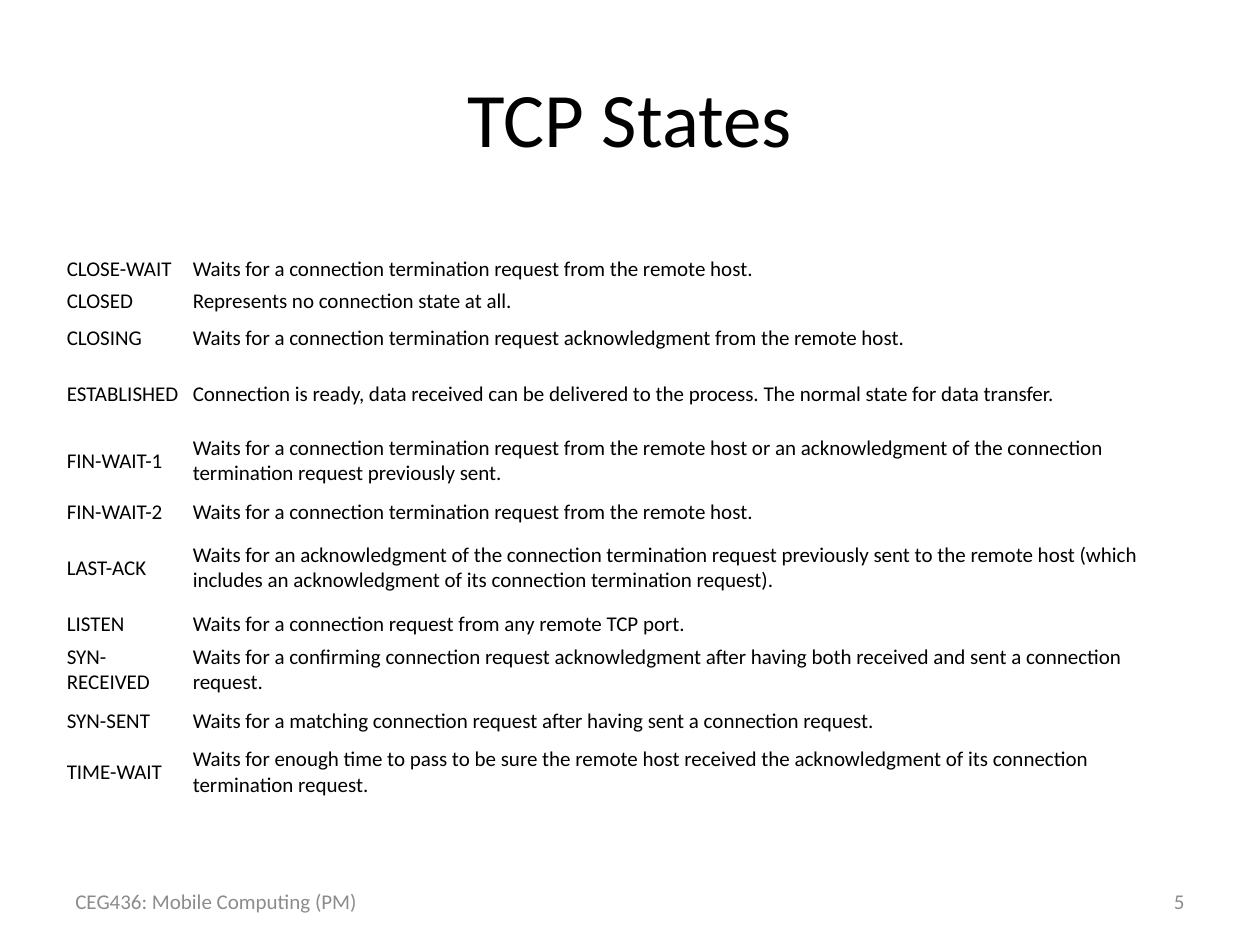
from dataclasses import dataclass

from pptx import Presentation
from pptx import util as u
from pptx.dml.color import RGBColor
from pptx.enum import text
from pptx.slide import Slide

COLORS = {"ink": "000000", "footer": "8C8C8C", "paper": "FFFFFF"}
WIDTH, HEIGHT = 10, 7.5
MARGIN = 0.05  # share of the slide's width

# state, meaning, row height in inches
STATES = [
    ("CLOSE-WAIT", "Waits for a connection termination request from the remote host.", 0.28),
    ("CLOSED", "Represents no connection state at all.", 0.2),
    ("CLOSING", "Waits for a connection termination request acknowledgment "
     "from the remote host.", 0.36),
    ("ESTABLISHED", "Connection is ready, data received can be delivered to the process. "
     "The normal state for data transfer.", 0.53),
    ("FIN-WAIT-1", "Waits for a connection termination request from the remote host or an "
     "acknowledgment of the connection termination request previously sent.", 0.53),
    ("FIN-WAIT-2", "Waits for a connection termination request from the remote host.", 0.28),
    ("LAST-ACK", "Waits for an acknowledgment of the connection termination request "
     "previously sent to the remote host (which includes an acknowledgment of its "
     "connection termination request).", 0.61),
    ("LISTEN", "Waits for a connection request from any remote TCP port.", 0.28),
    ("SYN-RECEIVED", "Waits for a confirming connection request acknowledgment after having "
     "both received and sent a connection request.", 0.45),
    ("SYN-SENT", "Waits for a matching connection request after having sent a "
     "connection request.", 0.36),
    ("TIME-WAIT", "Waits for enough time to pass to be sure the remote host received the "
     "acknowledgment of its connection termination request.", 0.45),
]


@dataclass
class Deck:
    slide: Slide
    font: str = "Calibri"
    body_size: int = 12
    title_size: int = 44

    def box(self, left, top, width, height):
        """Turn shares of the slide's size into lengths."""
        return (u.Inches(left * WIDTH), u.Inches(top * HEIGHT),
                u.Inches(width * WIDTH), u.Inches(height * HEIGHT))

    def set_words(self, frame, words, size, color, align=text.PP_ALIGN.LEFT):
        frame.text = words
        frame.word_wrap = True
        paragraph = frame.paragraphs[0]
        paragraph.alignment = align
        font = paragraph.runs[0].font
        font.name, font.size = self.font, u.Pt(size)
        font.color.rgb = RGBColor.from_string(COLORS[color])

    def title(self, words, *place):
        heading = self.slide.shapes.title
        heading.left, heading.top, heading.width, heading.height = self.box(*place)
        heading.text_frame.vertical_anchor = text.MSO_ANCHOR.MIDDLE
        self.set_words(heading.text_frame, words, self.title_size, "ink", text.PP_ALIGN.CENTER)

    def footer(self, words, left, width, align):
        note = self.slide.shapes.add_textbox(*self.box(left, 6.95 / HEIGHT, width, 0.4 / HEIGHT))
        note.text_frame.vertical_anchor = text.MSO_ANCHOR.MIDDLE
        self.set_words(note.text_frame, words, self.body_size, "footer", align)

    def definitions(self, entries, column_shares, left, top):
        """Add a plain two-column table of terms and meanings."""
        height = sum(entry[-1] for entry in entries) / HEIGHT
        place = self.box(left, top, sum(column_shares), height)
        table = self.slide.shapes.add_table(len(entries), len(column_shares), *place).table
        table.first_row = table.horz_banding = False
        for column, share in zip(table.columns, column_shares):
            column.width = u.Inches(share * WIDTH)
        for row, (*words, row_height) in zip(table.rows, entries):
            row.height = u.Inches(row_height)
            for cell, content in zip(row.cells, words):
                cell.fill.background()
                cell.vertical_anchor = text.MSO_ANCHOR.MIDDLE
                cell.margin_left = cell.margin_right = u.Inches(0.03)
                cell.margin_top = cell.margin_bottom = u.Inches(0.01)
                self.set_words(cell.text_frame, content, self.body_size, "ink")


def main():
    deck_file = Presentation()
    deck_file.slide_width, deck_file.slide_height = u.Inches(WIDTH), u.Inches(HEIGHT)
    title_only = deck_file.slide_layouts.get_by_name("Title Only")
    deck = Deck(deck_file.slides.add_slide(title_only))
    background = deck.slide.background.fill
    background.solid()
    background.fore_color.rgb = RGBColor.from_string(COLORS["paper"])

    deck.title("TCP States", MARGIN, 0.04, 1 - 2 * MARGIN, 1.25 / HEIGHT)
    deck.definitions(STATES, (0.1, 0.8), MARGIN, 2 / HEIGHT)
    number_width = 0.23
    deck.footer("CEG436: Mobile Computing (PM)", MARGIN, 0.28, text.PP_ALIGN.LEFT)
    deck.footer("5", 1 - MARGIN - number_width, number_width, text.PP_ALIGN.RIGHT)
    deck_file.save("out.pptx")


if __name__ == "__main__":
    main()
